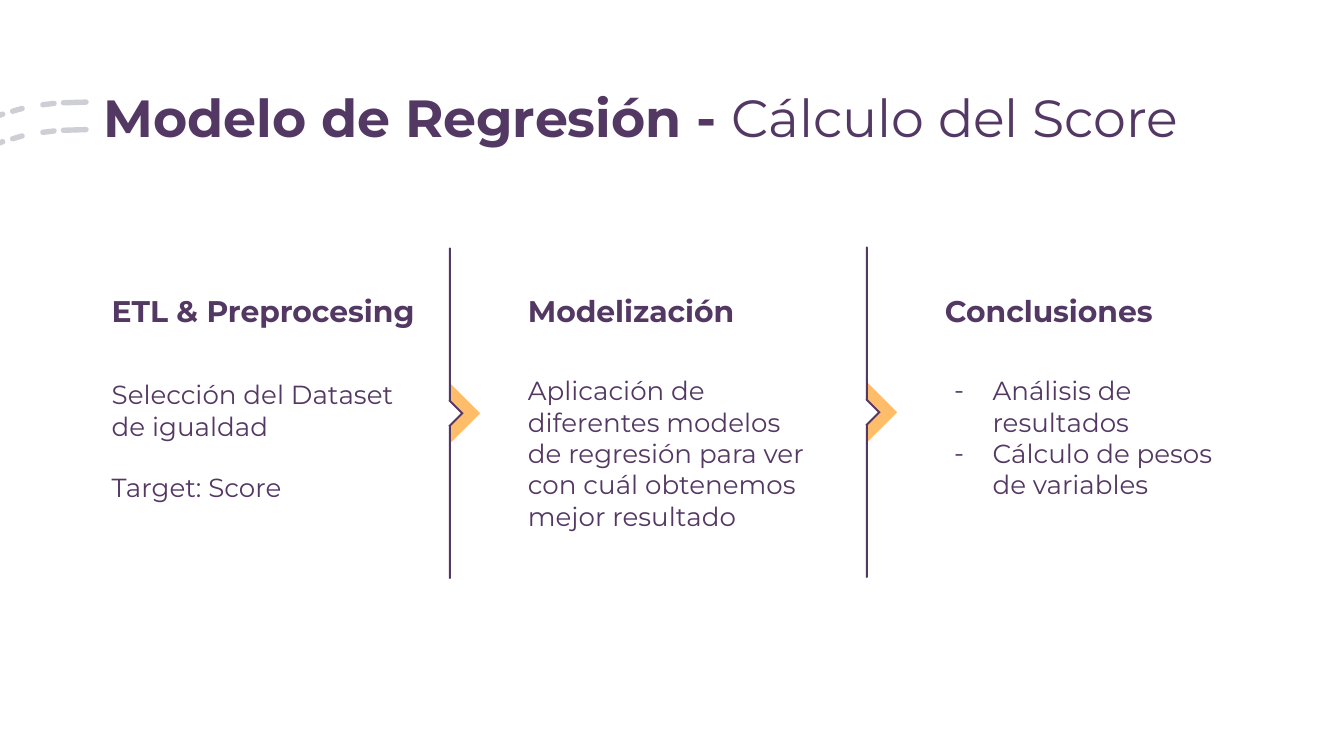
"""Build the slide on the three stages of the regression model."""
from dataclasses import dataclass
from math import atan2, cos, pi, sin

from lxml.etree import SubElement
from pptx import Presentation
from pptx.dml.color import RGBColor
from pptx.enum.text import MSO_ANCHOR, MSO_AUTO_SIZE, PP_ALIGN
from pptx.oxml.ns import qn
from pptx.shapes.base import BaseShape
from pptx.shapes.shapetree import GroupShapes
from pptx.slide import Slide
from pptx.text.text import TextFrame
from pptx.util import Emu, Pt

PX = 2286
SLIDE_WIDTH, SLIDE_HEIGHT = 4000, 2250
FONT = "Montserrat"
PURPLE = RGBColor(0x54, 0x38, 0x64)
ORANGE = RGBColor(0xFF, 0xBD, 0x69)
NAVY = RGBColor(0x20, 0x20, 0x40)
DASH_OPACITY = 22

Point = tuple[float, float]


@dataclass(frozen=True)
class Box:
    left: int
    top: int
    width: int
    height: int


@dataclass(frozen=True)
class Stage:
    heading: str
    heading_box: Box
    details: tuple[str, ...]
    details_box: Box
    listed: bool = False


TITLE_BOX = Box(268, 214, 3504, 300)
STAGES = (
    Stage("ETL & Preprocesing", Box(293, 832, 1044, 188),
          ("Selección del Dataset de igualdad", "Target: Score"), Box(293, 1087, 980, 648)),
    Stage("Modelización", Box(1532, 832, 944, 132),
          ("Aplicación de diferentes modelos de regresión para ver con cuál "
           "obtenemos mejor resultado",), Box(1532, 1075, 944, 648)),
    Stage("Conclusiones", Box(2773, 832, 944, 132),
          ("Análisis de resultados", "Cálculo de pesos de variables"),
          Box(2739, 1075, 944, 648), listed=True),
)
DIVIDER_CENTERS = ((1339, 1230), (2580, 1227))
ARROW = ((0, -90), (0, -40), (38, 0), (0, 40), (0, 90), (90, 0))
NOTCH = ((0, -41), (41, 0), (0, 41), (-4, 37), (33, 0), (-4, -37))
DASHES = (((-24, 352), (8, 340)), ((38, 331), (66, 323)),
          ((128, 312), (161, 308)), ((189, 306), (256, 304)))
DASH_ROW_GAP = 82


def place(shape: BaseShape, box: Box) -> None:
    """Move and size a shape."""
    shape.left, shape.top = Emu(box.left * PX), Emu(box.top * PX)
    shape.width, shape.height = Emu(box.width * PX), Emu(box.height * PX)


def draw_outline(shapes: GroupShapes, points: list[Point], color: RGBColor, opacity: int = 100) -> None:
    """Draw a filled closed outline."""
    start, *rest = [(x * PX, y * PX) for x, y in points]
    builder = shapes.build_freeform(*start)
    builder.add_line_segments(rest, close=True)
    outline = builder.convert_to_shape()
    outline.shadow.inherit = False
    outline.line.fill.background()
    outline.fill.solid()
    outline.fill.fore_color.rgb = color
    if opacity < 100:
        srgb = outline.fill._xPr.find(f".//{qn('a:srgbClr')}")
        SubElement(srgb, qn("a:alpha"), val=str(opacity * 1000))


def rounded_bar(start: Point, end: Point, radius: int) -> list[Point]:
    """Return the outline of a bar with round ends."""
    heading = atan2(end[1] - start[1], end[0] - start[0])
    outline = []
    for (x, y), turn in ((end, -pi / 2), (start, pi / 2)):
        for step in range(7):
            angle = heading + turn + step * pi / 6
            outline.append((x + radius * cos(angle), y + radius * sin(angle)))
    return outline


def draw_dashes(slide: Slide) -> None:
    """Draw two rows of pale dashes beside the title."""
    shapes = slide.shapes.add_group_shape().shapes
    for shift in (0, DASH_ROW_GAP):
        for (x1, y1), (x2, y2) in DASHES:
            bar = rounded_bar((x1, y1 + shift), (x2, y2 + shift), 8)
            draw_outline(shapes, bar, NAVY, DASH_OPACITY)


def draw_divider(slide: Slide, x: int, y: int) -> None:
    """Draw a vertical divider with an arrow pointing to the next stage."""
    shapes = slide.shapes.add_group_shape().shapes
    draw_outline(shapes, [(x + dx, y + dy) for dx, dy in ARROW], ORANGE)
    for side in (1, -1):
        bar = rounded_bar((x, y + 38 * side), (x, y + 490 * side), 3)
        draw_outline(shapes, bar, PURPLE)
    draw_outline(shapes, [(x + dx, y + dy) for dx, dy in NOTCH], PURPLE)


def write(frame: TextFrame, paragraphs: tuple[tuple[str, ...], ...], size: int,
          bold: bool | None = False, gap: int = 0, dashed: bool = False) -> None:
    """Write paragraphs, each given as its runs, in one style."""
    frame.word_wrap = True
    frame.auto_size = MSO_AUTO_SIZE.NONE
    frame.vertical_anchor = MSO_ANCHOR.TOP
    frame.margin_left = frame.margin_right = Emu(40 * PX)
    frame.margin_top = frame.margin_bottom = Emu(40 * PX)
    for index, runs in enumerate(paragraphs):
        paragraph = frame.add_paragraph() if index else frame.paragraphs[0]
        for text in runs:
            paragraph.add_run().text = text
        paragraph.alignment = PP_ALIGN.LEFT
        paragraph.space_before = Pt(gap if index else 0)
        if dashed:
            properties = paragraph._p.get_or_add_pPr()
            properties.set("marL", str(175 * PX))
            properties.set("indent", str(-114 * PX))
            bullet_color = SubElement(properties, qn("a:buClr"))
            SubElement(bullet_color, qn("a:srgbClr"), val=str(PURPLE))
            SubElement(properties, qn("a:buFont"), typeface=FONT)
            SubElement(properties, qn("a:buChar"), char="-")
        font = paragraph.font
        font.name, font.size, font.bold = FONT, Pt(size), bold
        font.color.rgb = PURPLE


def add_text_box(slide: Slide, box: Box) -> BaseShape:
    """Add an empty text box."""
    text_box = slide.shapes.add_textbox(0, 0, 0, 0)
    place(text_box, box)
    return text_box


def draw_stage(slide: Slide, stage: Stage) -> None:
    """Write the heading and the details of one stage."""
    heading = add_text_box(slide, stage.heading_box)
    write(heading.text_frame, ((stage.heading,),), 16, bold=True)
    if stage.listed:
        details = slide.placeholders[1]
        place(details, stage.details_box)
    else:
        details = add_text_box(slide, stage.details_box)
    write(details.text_frame, tuple((text,) for text in stage.details), 14,
          gap=0 if stage.listed else 16, dashed=stage.listed)


def main() -> None:
    """Build and save the presentation."""
    presentation = Presentation()
    presentation.slide_width = Emu(SLIDE_WIDTH * PX)
    presentation.slide_height = Emu(SLIDE_HEIGHT * PX)
    slide = presentation.slides.add_slide(presentation.slide_layouts[1])
    draw_dashes(slide)
    title = slide.shapes.title
    place(title, TITLE_BOX)
    write(title.text_frame, (("Modelo de Regresión - ", "Cálculo del Score"),), 28, bold=None)
    for run, bold in zip(title.text_frame.paragraphs[0].runs, (True, False)):
        run.font.bold = bold
    for stage in STAGES:
        draw_stage(slide, stage)
    for x, y in DIVIDER_CENTERS:
        draw_divider(slide, x, y)
    presentation.save("out.pptx")


if __name__ == "__main__":
    main()
